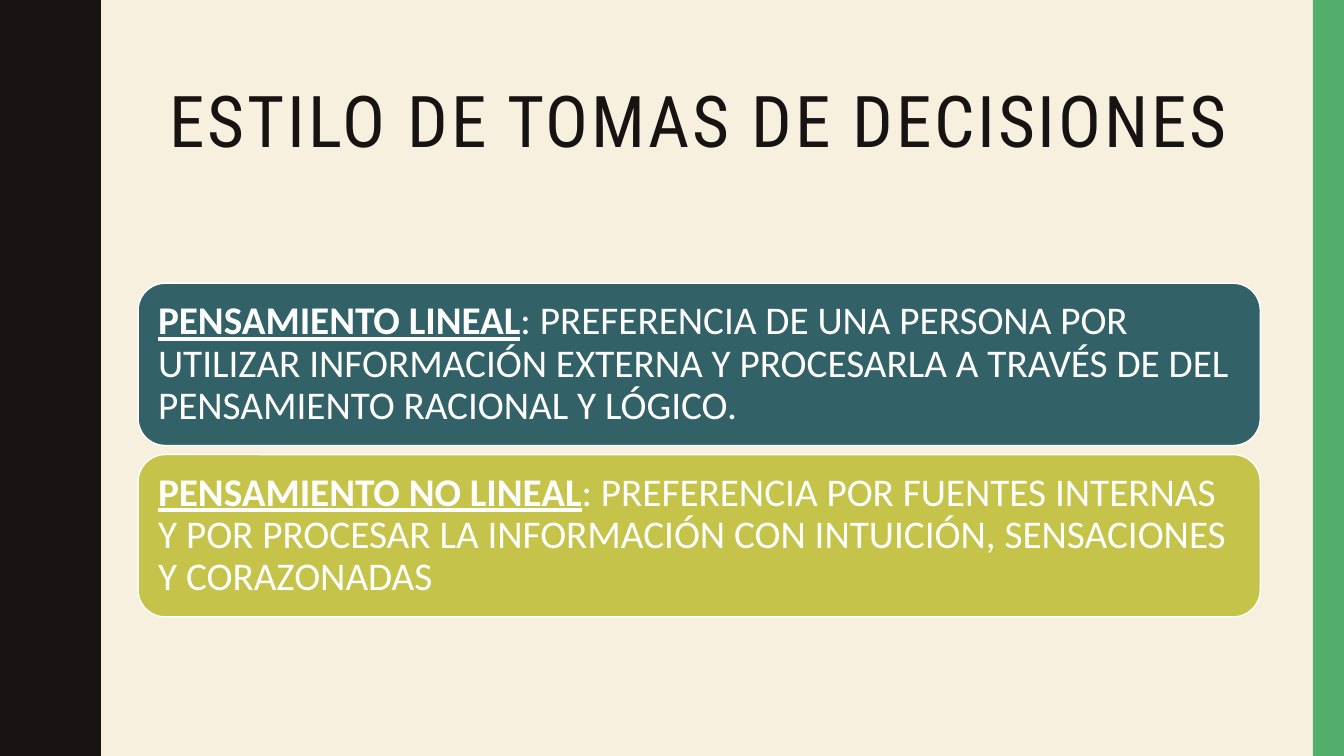
"""Build a slide on two decision-making styles."""
from dataclasses import dataclass

from pptx import Presentation
from pptx.dml.color import RGBColor
from pptx.enum.shapes import MSO_SHAPE
from pptx.enum.text import MSO_ANCHOR, MSO_AUTO_SIZE, PP_ALIGN
from pptx.util import Inches, Pt

RECTANGLE = MSO_SHAPE.RECTANGLE
ROUNDED_RECTANGLE = MSO_SHAPE.ROUNDED_RECTANGLE
MIDDLE = MSO_ANCHOR.MIDDLE
NO_AUTOFIT = MSO_AUTO_SIZE.NONE
CENTER = PP_ALIGN.CENTER
LEFT = PP_ALIGN.LEFT

CREAM = RGBColor(0xF7, 0xF0, 0xDF)
BLACK = RGBColor(0x17, 0x13, 0x12)
GREEN = RGBColor(0x53, 0xAE, 0x6E)
TEAL = RGBColor(0x32, 0x62, 0x67)
OLIVE = RGBColor(0xC5, 0xC3, 0x4A)
WHITE = RGBColor(0xFF, 0xFF, 0xFF)

SLIDE_WIDTH, SLIDE_HEIGHT = 13.33, 7.5
CONTENT_LEFT, CONTENT_WIDTH = 1.37, 11.13
CARD_TOP, CARD_HEIGHT, CARD_STEP = 2.81, 1.61, 1.7
CARD_INSET = 0.12
STRIPE_WIDTH = 0.31
WAVE_PERIOD, WAVE_COUNT = 1.5, 5
HALF_WAVE = [
    (0.78, 0), (0.78, 0.07), (0.79, 0.14), (0.8, 0.2), (0.81, 0.25),
    (0.83, 0.29), (0.85, 0.33), (0.87, 0.38), (0.89, 0.42), (0.91, 0.46),
    (0.93, 0.5), (0.95, 0.55), (0.96, 0.61), (0.97, 0.68), (0.97, 0.75),
]


@dataclass(frozen=True)
class StyleCard:
    """A decision style with its term, definition and colour."""

    term: str
    definition: str
    color: RGBColor


CARDS = [
    StyleCard(
        "PENSAMIENTO LINEAL",
        ": PREFERENCIA DE UNA PERSONA POR UTILIZAR INFORMACIÓN EXTERNA Y "
        "PROCESARLA A TRAVÉS DE DEL PENSAMIENTO RACIONAL Y LÓGICO.",
        TEAL,
    ),
    StyleCard(
        "PENSAMIENTO NO LINEAL",
        ": PREFERENCIA POR FUENTES INTERNAS Y POR PROCESAR LA INFORMACIÓN "
        "CON INTUICIÓN, SENSACIONES Y CORAZONADAS",
        OLIVE,
    ),
]


def fill_plain(shape, color: RGBColor) -> None:
    """Give a shape a solid fill with no outline or shadow."""
    shape.shadow.inherit = False
    shape.fill.solid()
    shape.fill.fore_color.rgb = color
    shape.line.fill.background()


def add_wavy_edge(slide) -> None:
    """Draw the dark band with a wavy right edge."""
    wave = HALF_WAVE + [(x, WAVE_PERIOD - y) for x, y in HALF_WAVE[-2::-1]]
    edge = [
        (x, y + index * WAVE_PERIOD)
        for index in range(WAVE_COUNT)
        for x, y in wave
    ]
    builder = slide.shapes.build_freeform(0, 0, scale=Inches(1))
    builder.add_line_segments(edge + [(0, SLIDE_HEIGHT)], close=True)
    fill_plain(builder.convert_to_shape(), BLACK)


def add_stripe(slide) -> None:
    """Draw the green stripe at the right side."""
    stripe = slide.shapes.add_shape(
        RECTANGLE, Inches(SLIDE_WIDTH - STRIPE_WIDTH), 0,
        Inches(STRIPE_WIDTH), Inches(SLIDE_HEIGHT),
    )
    fill_plain(stripe, GREEN)


def add_run(paragraph, text: str, font_name: str, size: int, color: RGBColor):
    """Add a formatted run to a paragraph and return it."""
    run = paragraph.add_run()
    run.text = text
    run.font.name = font_name
    run.font.size = Pt(size)
    run.font.color.rgb = color
    return run


def set_title(slide) -> None:
    """Place and format the slide title."""
    title = slide.shapes.title
    title.left, title.top = Inches(CONTENT_LEFT), Inches(0.42)
    title.width, title.height = Inches(CONTENT_WIDTH), Inches(1.63)
    frame = title.text_frame
    frame.word_wrap = True
    frame.auto_size = NO_AUTOFIT
    frame.vertical_anchor = MIDDLE
    paragraph = frame.paragraphs[0]
    paragraph.alignment = CENTER
    paragraph.line_spacing = 0.9
    run = add_run(paragraph, "ESTILO DE TOMAS DE DECISIONES",
                  "Roboto Condensed", 51, BLACK)
    run.font._element.set("spc", "200")


def add_card(slide, card: StyleCard, top: float) -> None:
    """Draw one rounded card with its term and definition."""
    shape = slide.shapes.add_shape(
        ROUNDED_RECTANGLE, Inches(CONTENT_LEFT), Inches(top),
        Inches(CONTENT_WIDTH), Inches(CARD_HEIGHT),
    )
    fill_plain(shape, card.color)
    shape.line.color.rgb = WHITE
    shape.line.width = Pt(1)
    frame = shape.text_frame
    frame.word_wrap = True
    frame.vertical_anchor = MIDDLE
    frame.margin_left = frame.margin_right = Inches(CARD_INSET)
    frame.margin_top = frame.margin_bottom = Inches(CARD_INSET)
    paragraph = frame.paragraphs[0]
    paragraph.alignment = LEFT
    paragraph.line_spacing = 0.9
    term = add_run(paragraph, card.term, "Calibri", 28, WHITE)
    term.font.bold = True
    term.font.underline = True
    add_run(paragraph, card.definition, "Calibri", 28, WHITE)


def main() -> None:
    """Build and save the presentation."""
    presentation = Presentation()
    presentation.slide_width = Inches(SLIDE_WIDTH)
    presentation.slide_height = Inches(SLIDE_HEIGHT)
    slide = presentation.slides.add_slide(presentation.slide_layouts[5])
    slide.background.fill.solid()
    slide.background.fill.fore_color.rgb = CREAM
    add_wavy_edge(slide)
    add_stripe(slide)
    set_title(slide)
    for index, card in enumerate(CARDS):
        add_card(slide, card, CARD_TOP + index * CARD_STEP)
    presentation.save("out.pptx")


if __name__ == "__main__":
    main()
